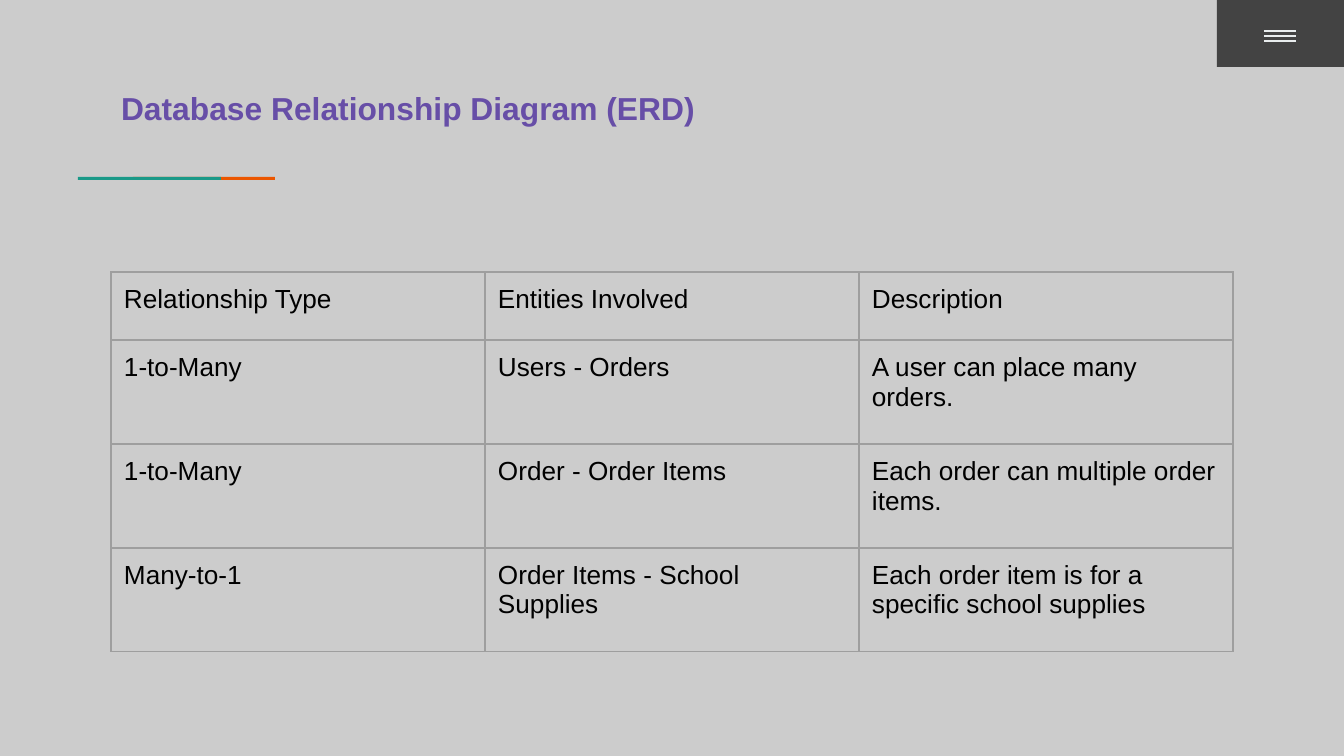
from typing import NamedTuple

from lxml.etree import SubElement
from pptx import Presentation
from pptx.dml.color import RGBColor as Rgb
from pptx.enum.shapes import MSO_CONNECTOR as Connector, MSO_SHAPE as Shape
from pptx.enum.text import MSO_ANCHOR as Anchor, MSO_AUTO_SIZE as AutoSize, PP_ALIGN as Align
from pptx.oxml.ns import qn
from pptx.util import Emu, Pt

COLORS = {
    "background": "CCCCCC",
    "orange": "EB5600",
    "teal": "1A9988",
    "corner": "434343",
    "menu": "E9EDEE",
    "title": "674EA7",
    "text": "000000",
    "border": "9E9E9E",
}
FONT = "Arial"
EMU_PER_PX = 914400 / 134.4
INSET = 13


class Bar(NamedTuple):
    left: int
    top: int
    width: int
    height: int
    color: str


BARS = [
    Bar(133, 177, 142, 3, "orange"),
    Bar(78, 177, 143, 3, "teal"),
    Bar(1217, 0, 127, 67, "corner"),
]
MENU_LEFT, MENU_RIGHT, MENU_TOP, MENU_GAP, MENU_LINES = 1264, 1296, 31, 5, 3

RELATIONSHIPS = [
    ("Relationship Type", "Entities Involved", "Description"),
    ("1-to-Many", "Users - Orders", "A user can place many orders."),
    ("1-to-Many", "Order - Order Items", "Each order can multiple order items."),
    ("Many-to-1", "Order Items - School Supplies",
     "Each order item is for a specific school supplies"),
]
TABLE_LEFT, TABLE_TOP, COLUMN_WIDTH = 111, 272, 374
ROW_HEIGHTS = [68, 104, 104, 104]


def px(value: int) -> Emu:
    return Emu(round(value * EMU_PER_PX))


def rgb(name: str) -> Rgb:
    return Rgb.from_string(COLORS[name])


def write(frame, text: str, *, size: int, color: str, bold: bool = False,
          line_spacing: float = 1.0, space_after: int = 0) -> None:
    paragraph = frame.paragraphs[0]
    paragraph.alignment = Align.LEFT
    paragraph.line_spacing = line_spacing
    paragraph.space_before = Pt(0)
    paragraph.space_after = Pt(space_after)
    run = paragraph.add_run()
    run.text = text
    run.font.name = FONT
    run.font.size = Pt(size)
    run.font.bold = bold
    run.font.color.rgb = rgb(color)


def draw_bar(slide, bar: Bar) -> None:
    rect = slide.shapes.add_shape(Shape.RECTANGLE, px(bar.left), px(bar.top),
                                  px(bar.width), px(bar.height))
    rect.shadow.inherit = False
    rect.fill.solid()
    rect.fill.fore_color.rgb = rgb(bar.color)
    rect.line.fill.background()


def draw_menu_line(slide, y: int) -> None:
    line = slide.shapes.add_connector(Connector.STRAIGHT, px(MENU_LEFT), px(y),
                                      px(MENU_RIGHT), px(y))
    line.line.color.rgb = rgb("menu")
    line.line.width = Pt(0.75)
    SubElement(line._element.spPr, qn("a:effectLst"))


def add_borders(cell) -> None:
    properties = cell._tc.get_or_add_tcPr()
    for position, side in enumerate(("lnL", "lnR", "lnT", "lnB")):
        border = SubElement(properties, qn(f"a:{side}"), w=str(Pt(0.75)))
        fill = SubElement(border, qn("a:solidFill"))
        SubElement(fill, qn("a:srgbClr"), val=COLORS["border"])
        properties.insert(position, border)  # borders come before the fill


def draw_table(slide) -> None:
    columns = len(RELATIONSHIPS[0])
    table = slide.shapes.add_table(
        len(RELATIONSHIPS), columns, px(TABLE_LEFT), px(TABLE_TOP),
        px(COLUMN_WIDTH * columns), px(sum(ROW_HEIGHTS))).table
    table.first_row = False
    table.horz_banding = False
    for column in table.columns:
        column.width = px(COLUMN_WIDTH)
    for row, height, texts in zip(table.rows, ROW_HEIGHTS, RELATIONSHIPS):
        row.height = px(height)
        for cell, text in zip(row.cells, texts):
            cell.margin_left = cell.margin_right = px(INSET)
            cell.margin_top = cell.margin_bottom = px(INSET)
            cell.vertical_anchor = Anchor.TOP
            cell.fill.background()
            add_borders(cell)
            write(cell.text_frame, text, size=14, color="text")


def draw_title(slide, text: str) -> None:
    title = slide.shapes.title
    title.left, title.top, title.width, title.height = px(108), px(67), px(1031), px(51)
    frame = title.text_frame
    frame.word_wrap = True
    frame.auto_size = AutoSize.NONE
    frame.vertical_anchor = Anchor.TOP
    frame.margin_left = frame.margin_right = px(INSET)
    frame.margin_top = px(INSET + 3)
    frame.margin_bottom = px(INSET)
    write(frame, text, size=17, color="title", bold=True, line_spacing=1.15, space_after=4)


def main() -> None:
    deck = Presentation()
    deck.slide_width, deck.slide_height = px(1344), px(756)
    slide = deck.slides.add_slide(deck.slide_layouts[5])
    slide.background.fill.solid()
    slide.background.fill.fore_color.rgb = rgb("background")

    # Accent rule and corner block
    for bar in BARS:
        draw_bar(slide, bar)

    # Menu icon
    for index in range(MENU_LINES):
        draw_menu_line(slide, MENU_TOP + index * MENU_GAP)

    # Title and relationships
    draw_title(slide, "Database Relationship Diagram (ERD)")
    draw_table(slide)
    deck.save("out.pptx")


if __name__ == "__main__":
    main()
